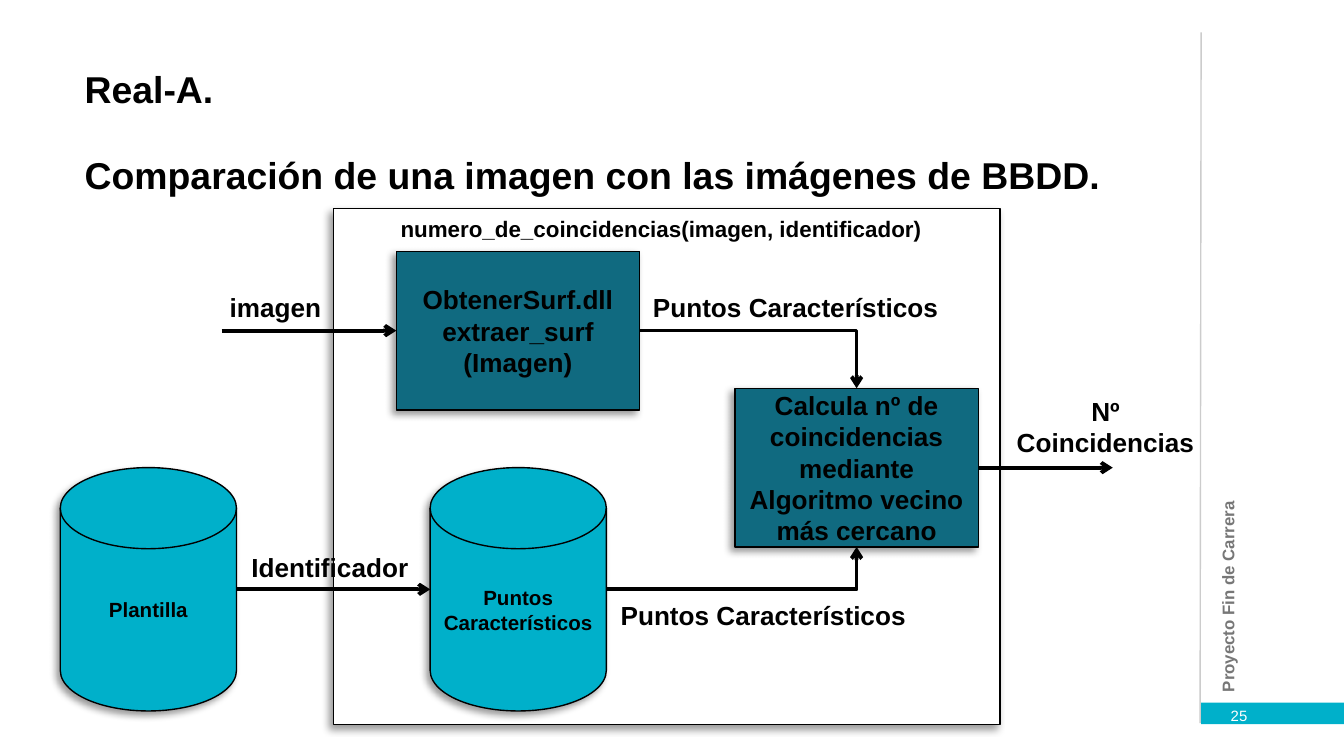
from lxml import etree
from pptx import Presentation
from pptx import util as u
from pptx.dml.color import RGBColor
from pptx.enum import shapes, text
from pptx.oxml import ns

BLACK = RGBColor(0x00, 0x00, 0x00)
WHITE = RGBColor(0xFF, 0xFF, 0xFF)
CYAN = RGBColor(0x00, 0xB0, 0xCA)
TEAL = RGBColor(0x10, 0x6A, 0x80)
GREY = RGBColor(0x77, 0x77, 0x77)
LIGHT = RGBColor(0xCC, 0xCC, 0xCC)

RECT = shapes.MSO_SHAPE.FLOWCHART_PROCESS
DISK = shapes.MSO_SHAPE.FLOWCHART_MAGNETIC_DISK
LEFT, CENTER = text.PP_ALIGN.LEFT, text.PP_ALIGN.CENTER
TOP, MIDDLE = text.MSO_ANCHOR.TOP, text.MSO_ANCHOR.MIDDLE

FRAME = (6.3, 3.94, 12.6, 9.75)
FRAME_TEXT = "numero_de_coincidencias(imagen, identificador)"
BOX, DRUM = (4.6, 3), (3.33, 4.6)
NODES = {
    "plantilla": (DISK, (1.14, 8.84), DRUM, CYAN, 11, ["Plantilla"]),
    "surf": (RECT, (7.49, 4.75), BOX, TEAL, 14,
             ["ObtenerSurf.dll", "extraer_surf", "(Imagen)"]),
    "puntos": (DISK, (8.13, 8.84), DRUM, CYAN, 11, ["Puntos", "Característicos"]),
    "calcula": (RECT, (13.89, 7.34), BOX, TEAL, 14,
                ["Calcula nº de coincidencias mediante Algoritmo vecino más cercano"]),
}
TITLES = [
    ("Real-A.", (1.35, 1.12, 20.93, 1.6)),
    ("Comparación de una imagen con las imágenes de BBDD.", (1.35, 2.74, 20.93, 1.2)),
]
LABELS = [
    ("imagen", (4.09, 5.38, 2.39, 0.86), LEFT),
    ("Identificador", (4.5, 10.29, 3.81, 0.86), LEFT),
    ("Puntos Característicos", (12.09, 5.38, 6.2, 0.86), LEFT),
    ("Puntos Característicos", (11.48, 11.2, 6.2, 0.86), LEFT),
    ("Nº Coincidencias", (18.9, 7.34, 3.99, 1.45), CENTER),
]


def cm(values):
    return [u.Cm(v) for v in values]


def write(s, lines, size, color=BLACK, bold=True, align=LEFT, anchor=TOP,
          margins=(0.25, 0.13)):
    tf = s.text_frame
    mx, my = cm(margins)
    frame = {"word_wrap": True, "vertical_anchor": anchor, "margin_left": mx,
             "margin_right": mx, "margin_top": my, "margin_bottom": my}
    for name, value in frame.items():
        setattr(tf, name, value)
    font = {"name": "Arial", "size": u.Pt(size), "bold": bold}
    for i, line in enumerate(lines):
        p = tf.add_paragraph() if i else tf.paragraphs[0]
        p.alignment = align
        r = p.add_run()
        r.text = line
        for name, value in font.items():
            setattr(r.font, name, value)
        r.font.color.rgb = color
    return tf


def add_text(sp, at, lines, size, **style):
    s = sp.add_textbox(*cm(at))
    write(s, lines, size, **style)
    return s


def add_block(sp, kind, at, fill, line=BLACK):
    s = sp.add_shape(kind, *cm(at))
    s.shadow.inherit = False
    s.fill.solid()
    s.fill.fore_color.rgb = fill
    if line is None:
        s.line.fill.background()
        return s
    s.line.color.rgb = line
    s.line.width = u.Pt(0.75)
    effects = s._element.spPr.find(ns.qn("a:effectLst"))
    shadow = etree.SubElement(effects, ns.qn("a:outerShdw"), blurRad=str(u.Pt(4)),
                              dist=str(u.Pt(3)), dir=str(135 * 60000),
                              algn="ctr", rotWithShape="0")
    color = etree.SubElement(shadow, ns.qn("a:srgbClr"), val=str(BLACK))
    etree.SubElement(color, ns.qn("a:alpha"), val="40000")
    return s


def add_line(sp, start, end, color=BLACK, width=2, arrow=True, bent=False):
    kind = shapes.MSO_CONNECTOR.ELBOW if bent else shapes.MSO_CONNECTOR.STRAIGHT
    s = sp.add_connector(kind, *cm(start + end))
    s.line.color.rgb = color
    s.line.width = u.Pt(width)
    pr = s._element.spPr
    if bent:
        pr.find(ns.qn("a:prstGeom")).set("prst", "bentConnector2")
    if arrow:
        etree.SubElement(s.line._get_or_add_ln(), ns.qn("a:tailEnd"), type="arrow")
    etree.SubElement(pr, ns.qn("a:effectLst"))


def side(node, fx, fy):
    (x, y), (w, h) = NODES[node][1:3]
    return (x + w * fx, y + h * fy)


def main():
    prs = Presentation()
    prs.slide_width, prs.slide_height = cm((25.4, 14.29))
    sp = prs.slides.add_slide(prs.slide_layouts[6]).shapes

    add_block(sp, shapes.MSO_SHAPE.RECTANGLE, (22.7, 13.28, 2.7, 0.41), CYAN, None)
    footer = add_text(sp, (19.63, 9.22, 7.14, 0.58), ["Proyecto Fin de Carrera"], 9,
                      color=GREY, anchor=MIDDLE, margins=(0, 0))
    footer.rotation = 270
    add_line(sp, (22.7, 0.61), (22.68, 13.67), LIGHT, 0.75, arrow=False)
    add_text(sp, (23.01, 13.23, 2.39, 0.46), ["25"], 8, color=WHITE, bold=False)

    frame = add_block(sp, RECT, FRAME, WHITE)
    tf = write(frame, [FRAME_TEXT], 12, margins=(0, 0.13))
    tf.paragraphs[0]._p.get_or_add_pPr().set("marL", str(u.Cm(1.27)))

    for title, at in TITLES:
        add_text(sp, at, [title], 20)

    for kind, at, size, fill, pt, lines in NODES.values():
        s = add_block(sp, kind, at + size, fill)
        write(s, lines, pt, align=CENTER, anchor=MIDDLE, margins=(0.22, 0.13))

    surf_in, calc_out = side("surf", 0, 0.5), side("calcula", 1, 0.5)
    add_line(sp, (4.19, surf_in[1]), surf_in)
    add_line(sp, side("plantilla", 1, 0.5), side("puntos", 0, 0.5))
    add_line(sp, side("surf", 1, 0.5), side("calcula", 0.5, 0), bent=True)
    add_line(sp, side("puntos", 1, 0.5), side("calcula", 0.5, 1), bent=True)
    add_line(sp, calc_out, (21.03, calc_out[1]))

    for label, at, align in LABELS:
        add_text(sp, at, [label], 14, align=align)

    prs.save("out.pptx")


if __name__ == "__main__":
    main()
